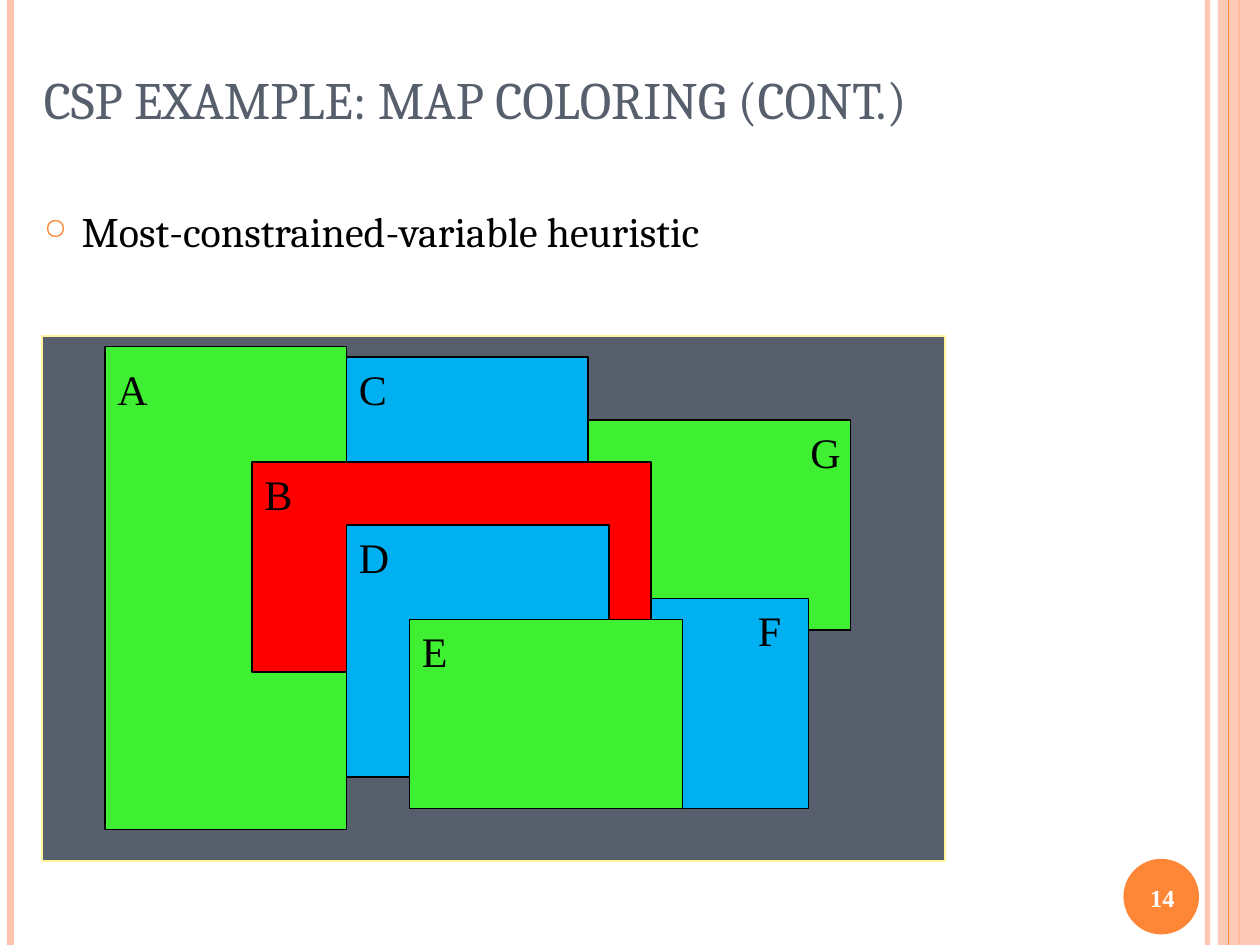
from lxml import etree
from pptx import Presentation, util as u
from pptx.dml.color import RGBColor
from pptx.enum import shapes, text
from pptx.oxml import ns

COLORS = {
    "peach": "FEC3AE", "orange": "FE8637", "slate": "575F6D", "cream": "FFF39D",
    "green": "3FEF31", "blue": "00B0F0", "red": "FF0000", "black": "000000", "white": "FFFFFF",
}
COLUMNS, ROWS = 120, 90
REGIONS = [
    ("green", 56, 40, 25, 20),
    ("blue", 52, 57, 25, 20),
    ("blue", 21, 34, 35, 20),
    ("green", 10, 33, 23, 46),
    ("red", 24, 44, 38, 20),
    ("blue", 33, 50, 25, 24),
    ("green", 39, 59, 26, 18),
]
LABELS = [("G", 76, 40), ("F", 71, 57), ("E", 39, 59), ("D", 33, 50),
          ("C", 33, 34), ("B", 24, 44), ("A", 10, 34)]
RULES = [(115, "peach", 3, 93), (1, "peach", 4.5, 100), (118, "orange", 1.5, 100)]


def cells(*counts):
    """Turn grid counts into lengths."""
    return [u.Inches(count * 10 / COLUMNS) for count in counts]


def rgb(name):
    """Look up a named colour."""
    return RGBColor.from_string(COLORS[name])


def set_alpha(element, percent):
    """Give the first solid colour inside an element an opacity."""
    color = next(element.iter(ns.qn("a:srgbClr")))
    etree.SubElement(color, ns.qn("a:alpha")).set("val", str(percent * 1000))


def add_rule(page, column, color, width, opacity=100):
    """Draw a vertical line over the full height of the page."""
    rule = page.shapes.add_connector(
        shapes.MSO_CONNECTOR.STRAIGHT, *cells(column, 0, column, ROWS))
    rule.line.color.rgb = rgb(color)
    rule.line.width = u.Pt(width)
    etree.SubElement(rule._element.spPr, ns.qn("a:effectLst"))
    if opacity < 100:
        set_alpha(rule._element.spPr, opacity)


def add_block(page, kind, area, fill, outline=None):
    """Draw a filled shape with an optional thin outline."""
    block = page.shapes.add_shape(kind, *cells(*area))
    block.shadow.inherit = False
    block.fill.solid()
    block.fill.fore_color.rgb = rgb(fill)
    if outline:
        block.line.color.rgb = rgb(outline)
        block.line.width = u.Pt(1)
    else:
        block.line.fill.background()
    return block


def add_text(page, area, wording, size, color, face, wrap=True, anchor=text.MSO_ANCHOR.TOP):
    """Place one line of text and return its paragraph."""
    box = page.shapes.add_textbox(*cells(*area))
    frame = box.text_frame
    frame.text = wording
    frame.word_wrap = wrap
    frame.vertical_anchor = anchor
    if not wrap:
        frame.auto_size = text.MSO_AUTO_SIZE.SHAPE_TO_FIT_TEXT
    para = frame.paragraphs[0]
    font = para.runs[0].font
    font.size, font.name, font.color.rgb = u.Pt(size), face, rgb(color)
    return para


def add_bullet(para, mark, color, percent):
    """Give a paragraph a hanging bullet."""
    props = para._p.get_or_add_pPr()
    indent = u.Inches(0.3)
    props.set("marL", str(indent))
    props.set("indent", str(-indent))
    tint = etree.SubElement(props, ns.qn("a:buClr"))
    etree.SubElement(tint, ns.qn("a:srgbClr")).set("val", COLORS[color])
    etree.SubElement(props, ns.qn("a:buSzPct")).set("val", str(percent * 1000))
    etree.SubElement(props, ns.qn("a:buChar")).set("char", mark)


def add_frame(page):
    """Draw the side bands and the page number."""
    for rule in RULES:
        add_rule(page, *rule)
    band = add_block(page, shapes.MSO_SHAPE.RECTANGLE, (116, 0, 4, ROWS), "peach")
    set_alpha(band._element.spPr, 87)
    add_rule(page, 117, "orange", 0.75)
    add_block(page, shapes.MSO_SHAPE.OVAL, (107, 81.8, 7.2, 7.2), "orange")
    number = add_text(page, (106.7, 82.1, 8, 6.8), "14", 14, "white",
                      "Times New Roman", anchor=text.MSO_ANCHOR.MIDDLE)
    number.alignment = text.PP_ALIGN.CENTER
    number.runs[0].font.bold = True


def add_map(page):
    """Draw the coloured regions and their letters."""
    add_block(page, shapes.MSO_SHAPE.RECTANGLE, (4, 32, 86, 50), "slate", "cream")
    for color, *area in REGIONS:
        add_block(page, shapes.MSO_SHAPE.RECTANGLE, area, color, "black")
    for letter, column, row in LABELS:
        add_text(page, (column, row, 5, 6), letter, 24, "black", "Times New Roman", wrap=False)


def main():
    """Build the slide and save it."""
    deck = Presentation()
    deck.slide_width, deck.slide_height = cells(COLUMNS, ROWS)
    page = deck.slides.add_slide(deck.slide_layouts[6])
    add_frame(page)
    add_text(page, (3, 3.6, 106, 9.4), "CSP EXAMPLE: MAP COLORING (CONT.)", 30,
             "slate", "Cambria", anchor=text.MSO_ANCHOR.BOTTOM)
    point = add_text(page, (3, 19, 116, 12), "Most-constrained-variable heuristic",
                     24, "black", "Cambria")
    add_bullet(point, "○", "orange", 70)
    add_map(page)
    deck.save("out.pptx")


if __name__ == "__main__":
    main()
